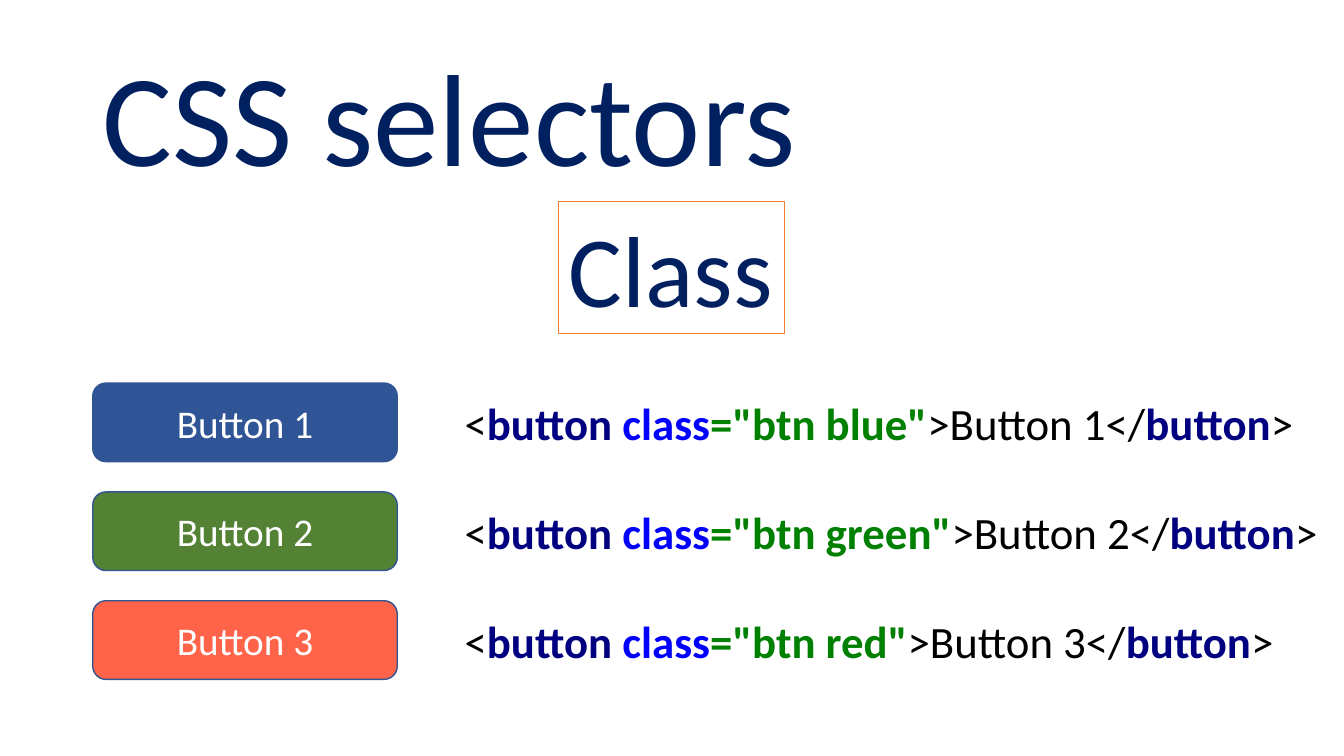
from dataclasses import dataclass

from pptx import Presentation
from pptx.dml.color import RGBColor
from pptx.enum.shapes import MSO_SHAPE
from pptx.enum.text import MSO_ANCHOR, MSO_AUTO_SIZE, PP_ALIGN
from pptx.util import Inches, Pt

RECT = MSO_SHAPE.RECTANGLE
ROUND = MSO_SHAPE.ROUNDED_RECTANGLE
MIDDLE, TOP = MSO_ANCHOR.MIDDLE, MSO_ANCHOR.TOP
LEFT, CENTER = PP_ALIGN.LEFT, PP_ALIGN.CENTER
GROW = MSO_AUTO_SIZE.SHAPE_TO_FIT_TEXT


@dataclass(frozen=True)
class Theme:
    font: str = "Calibri"
    navy: str = "002060"
    white: str = "FFFFFF"
    black: str = "000000"
    orange: str = "ED7D31"
    edge: str = "325491"
    tag: str = "000080"
    attr: str = "0000FF"
    value: str = "008000"
    title: float = 93.6
    head: float = 72
    label: float = 28
    code: float = 32


THEME = Theme()

# Class name, button fill, width of the code line
ROWS = [
    ("blue", "2F5597", 8.53),
    ("green", "548235", 8.77),
    ("red", "FF644A", 8.33),
]
PITCH = 1.08


def style(run, size, color, bold=False):
    font = run.font
    font.name = THEME.font
    font.size = Pt(size)
    font.bold = bold
    font.color.rgb = RGBColor.from_string(color)


def text_box(slide, left, top, width, height):
    return slide.shapes.add_textbox(
        Inches(left), Inches(top), Inches(width), Inches(height))


def add_title(slide, text):
    frame = text_box(slide, 0.92, 0.55, 11.5, 1.45).text_frame
    frame.word_wrap = True
    frame.vertical_anchor = MIDDLE
    para = frame.paragraphs[0]
    para.text = text
    para.line_spacing = 0.8
    style(para.runs[0], THEME.title, THEME.navy)


def add_panel(slide, kind, place, fill, line, text, size, color):
    shape = slide.shapes.add_shape(kind, *(Inches(n) for n in place))
    shape.shadow.inherit = False
    shape.fill.solid()
    shape.fill.fore_color.rgb = RGBColor.from_string(fill)
    shape.line.color.rgb = RGBColor.from_string(line)
    shape.line.width = Pt(1)
    frame = shape.text_frame
    frame.text = text
    frame.vertical_anchor = MIDDLE
    para = frame.paragraphs[0]
    para.alignment = CENTER
    style(para.runs[0], size, color)
    return frame


def add_head(slide, text):
    frame = add_panel(slide, RECT, (5.54, 2, 2.24, 1.31), THEME.white,
                      THEME.orange, text, THEME.head, THEME.navy)
    frame.word_wrap = False
    frame.auto_size = GROW
    frame.vertical_anchor = TOP
    frame.paragraphs[0].alignment = LEFT


def add_code(slide, top, width, name, label):
    frame = text_box(slide, 4.51, top, width, 0.64).text_frame
    frame.word_wrap = False
    frame.auto_size = GROW
    parts = [
        ("<", THEME.black, False),
        ("button ", THEME.tag, True),
        ("class", THEME.attr, True),
        (f'="btn {name}"', THEME.value, True),
        (f">{label}</", THEME.black, False),
        ("button", THEME.tag, True),
        (">", THEME.black, False),
    ]
    for text, color, bold in parts:
        run = frame.paragraphs[0].add_run()
        run.text = text
        style(run, THEME.code, color, bold)


def main():
    deck = Presentation()
    deck.slide_width, deck.slide_height = Inches(13.33), Inches(7.5)
    slide = deck.slides.add_slide(deck.slide_layouts[6])

    # Headings
    add_title(slide, "CSS selectors")
    add_head(slide, "Class")

    # Each button beside its markup
    for i, (name, fill, width) in enumerate(ROWS):
        label = f"Button {i + 1}"
        step = i * PITCH
        add_panel(slide, ROUND, (0.92, 3.8 + step, 3.02, 0.78), fill,
                  THEME.edge, label, THEME.label, THEME.white)
        add_code(slide, 3.88 + step, width, name, label)

    deck.save("out.pptx")


if __name__ == "__main__":
    main()
